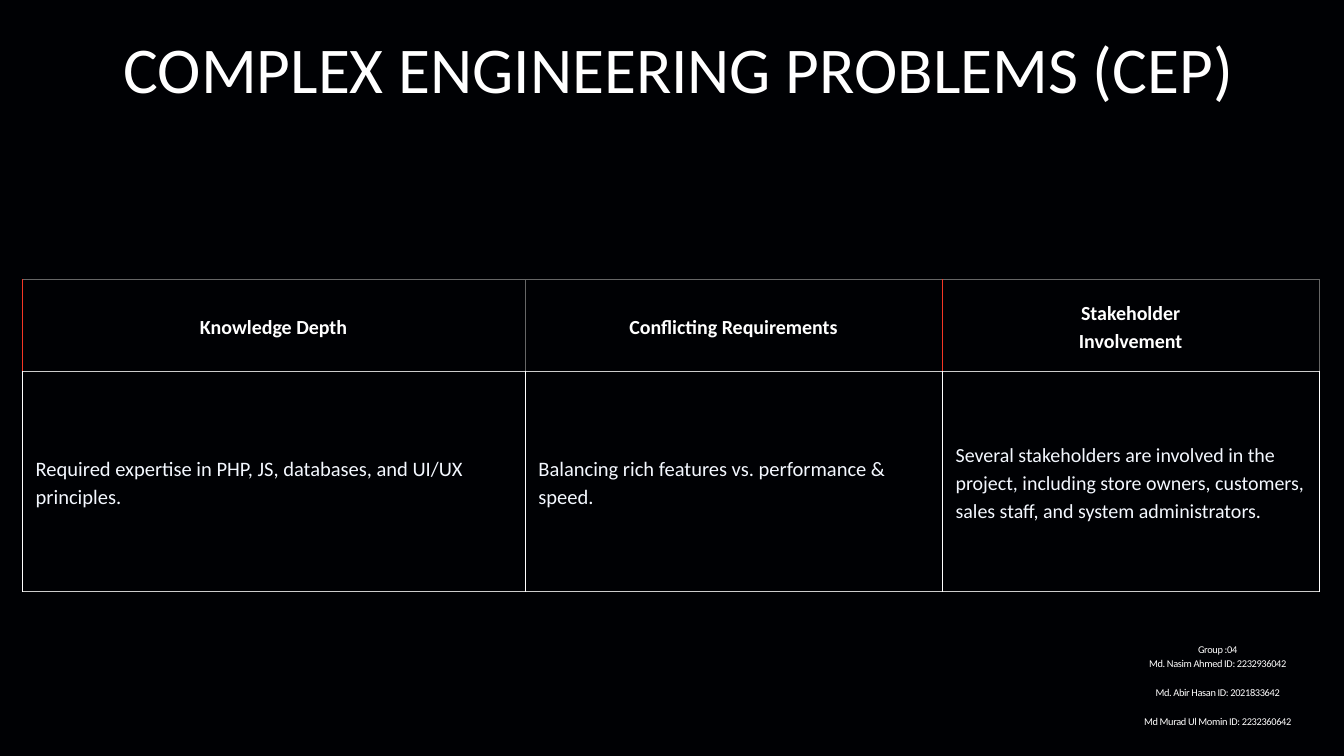
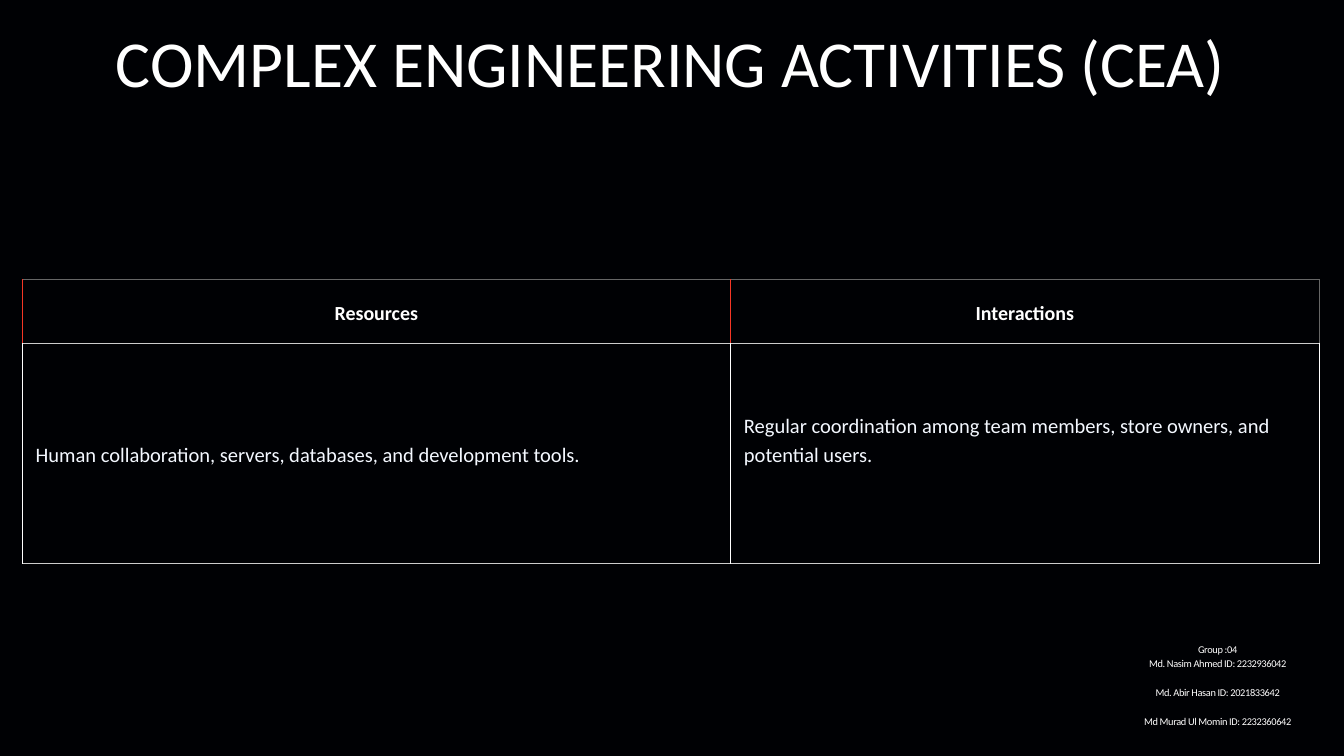
from dataclasses import dataclass

from lxml.etree import SubElement
from pptx import Presentation
from pptx.dml.color import RGBColor
from pptx.enum.text import MSO_ANCHOR, MSO_AUTO_SIZE, PP_ALIGN
from pptx.oxml.ns import qn
from pptx.slide import Slide
from pptx.table import _Cell
from pptx.text.text import TextFrame, _Paragraph
from pptx.util import Cm, Length, Pt

BACKGROUND = RGBColor(0x00, 0x01, 0x04)
WHITE = RGBColor(0xFF, 0xFF, 0xFF)
PALE_BLUE = RGBColor(0xF4, 0xF8, 0xFF)
RED = RGBColor(0xF5, 0x37, 0x25)
SILVER = RGBColor(0xCC, 0xCC, 0xCC)
GREY = RGBColor(0x66, 0x66, 0x66)

FONT = "Calibri"
LINE_FACTOR = 1.4
HEADING_SIZE = 21.4
BODY_SIZE = 22
MEMBER_SIZE = 11.1
CELL_MARGIN = Cm(0.51)
TABLE_LEFT, TABLE_TOP = Cm(0.84), Cm(10.57)


@dataclass(frozen=True)
class Column:
    heading: tuple[str, ...]
    body: str
    width: Length
    header_edge: RGBColor = RED
    body_size: float = BODY_SIZE
    bottom_margin: Length = CELL_MARGIN


@dataclass(frozen=True)
class Topic:
    title: str
    title_box: tuple[Length, Length, Length, Length]
    title_size: float
    row_heights: tuple[Length, Length]
    columns: tuple[Column, ...]


@dataclass(frozen=True)
class MemberLine:
    text: str
    gap_before: bool = False


TOPICS = (
    Topic(
        "COMPLEX ENGINEERING PROBLEMS (CEP)",
        (Cm(2.2), Cm(0.58), Cm(46.9), Cm(6.78)),
        70,
        (Cm(3.48), Cm(8.31)),
        (
            Column(
                ("Knowledge Depth",),
                "Required expertise in PHP, JS, databases, and UI/UX principles.",
                Cm(19),
            ),
            Column(
                ("Conflicting Requirements",),
                "Balancing rich features vs. performance & speed.",
                Cm(15.77),
                header_edge=GREY,
            ),
            Column(
                ("Stakeholder", "Involvement"),
                "Several stakeholders are involved in the project, including store "
                "owners, customers, sales staff, and system administrators.",
                Cm(14.25),
                body_size=HEADING_SIZE,
            ),
        ),
    ),
    Topic(
        "COMPLEX ENGINEERING ACTIVITIES (CEA)",
        (Cm(1.8), Cm(0.33), Cm(47.12), Cm(10.2)),
        70.3,
        (Cm(2.41), Cm(8.33)),
        (
            Column(
                ("Resources",),
                "Human collaboration, servers, databases, and development tools.",
                Cm(26.77),
            ),
            Column(
                ("Interactions",),
                "Regular coordination among team members, store owners, and "
                "potential users.",
                Cm(22.25),
                bottom_margin=Cm(1.58),
            ),
        ),
    ),
)

MEMBERS = (
    MemberLine("Group :04"),
    MemberLine("Md. Nasim Ahmed ID: 2232936042"),
    MemberLine("Md. Abir Hasan ID: 2021833642", gap_before=True),
    MemberLine("Md Murad Ul Momin ID: 2232360642", gap_before=True),
)


def write_line(
    frame: TextFrame,
    index: int,
    text: str,
    size: float,
    color: RGBColor = WHITE,
    bold: bool = False,
    alignment: PP_ALIGN = PP_ALIGN.CENTER,
) -> _Paragraph:
    paragraph = frame.paragraphs[0] if index == 0 else frame.add_paragraph()
    paragraph.alignment = alignment
    paragraph.line_spacing = Pt(size * LINE_FACTOR)
    run = paragraph.add_run()
    run.text = text
    run.font.name = FONT
    run.font.size = Pt(size)
    run.font.bold = bold
    run.font.color.rgb = color
    return paragraph


def prepare_frame(frame: TextFrame) -> None:
    """Let the text wrap from the top edge, without margins."""
    frame.word_wrap = True
    frame.auto_size = MSO_AUTO_SIZE.NONE
    frame.vertical_anchor = MSO_ANCHOR.TOP
    frame.margin_left = frame.margin_top = frame.margin_right = frame.margin_bottom = 0


def add_title(slide: Slide, topic: Topic) -> None:
    title = slide.shapes.title
    title.left, title.top, title.width, title.height = topic.title_box
    prepare_frame(title.text_frame)
    write_line(title.text_frame, 0, topic.title, topic.title_size)


def style_cell(
    cell: _Cell, borders: dict[str, RGBColor], bottom_margin: Length = CELL_MARGIN
) -> None:
    cell.vertical_anchor = MSO_ANCHOR.MIDDLE
    cell.margin_left = cell.margin_top = cell.margin_right = CELL_MARGIN
    cell.margin_bottom = bottom_margin
    properties = cell._tc.get_or_add_tcPr()
    for side, color in borders.items():
        line = SubElement(properties, qn(f"a:ln{side}"), w=str(Pt(0.75)))
        fill = SubElement(line, qn("a:solidFill"))
        SubElement(fill, qn("a:srgbClr"), val=str(color))
    cell.fill.background()


def add_topic_table(slide: Slide, topic: Topic) -> None:
    columns = topic.columns
    table = slide.shapes.add_table(
        2,
        len(columns),
        TABLE_LEFT,
        TABLE_TOP,
        Length(sum(column.width for column in columns)),
        Length(sum(topic.row_heights)),
    ).table
    table.first_row = table.horz_banding = False
    for row, height in zip(table.rows, topic.row_heights):
        row.height = height

    right_edges = [column.header_edge for column in columns[1:]] + [GREY]
    for index, (column, right_edge) in enumerate(zip(columns, right_edges)):
        table.columns[index].width = column.width
        header, body = table.cell(0, index), table.cell(1, index)
        style_cell(
            header, {"L": column.header_edge, "R": right_edge, "T": GREY, "B": SILVER}
        )
        for line_index, text in enumerate(column.heading):
            write_line(header.text_frame, line_index, text, HEADING_SIZE, bold=True)
        style_cell(
            body,
            {"L": WHITE, "R": WHITE, "T": SILVER, "B": SILVER},
            column.bottom_margin,
        )
        write_line(
            body.text_frame,
            0,
            column.body,
            column.body_size,
            PALE_BLUE,
            alignment=PP_ALIGN.LEFT,
        )


def add_group_members(slide: Slide) -> None:
    box = slide.shapes.add_textbox(Cm(41.25), Cm(24.22), Cm(9.55), Cm(3.8))
    prepare_frame(box.text_frame)
    for index, member in enumerate(MEMBERS):
        paragraph = write_line(box.text_frame, index, member.text, MEMBER_SIZE)
        paragraph.runs[0].font._element.set("spc", "-40")
        if member.gap_before:
            paragraph.space_before = paragraph.line_spacing


def main() -> None:
    presentation = Presentation()
    presentation.slide_width, presentation.slide_height = Cm(50.8), Cm(28.58)
    background = presentation.slide_master.background.fill
    background.solid()
    background.fore_color.rgb = BACKGROUND
    title_only = presentation.slide_layouts.get_by_name("Title Only")
    for topic in TOPICS:
        slide = presentation.slides.add_slide(title_only)
        add_topic_table(slide, topic)
        add_title(slide, topic)
        add_group_members(slide)
    presentation.save("out.pptx")


if __name__ == "__main__":
    main()
